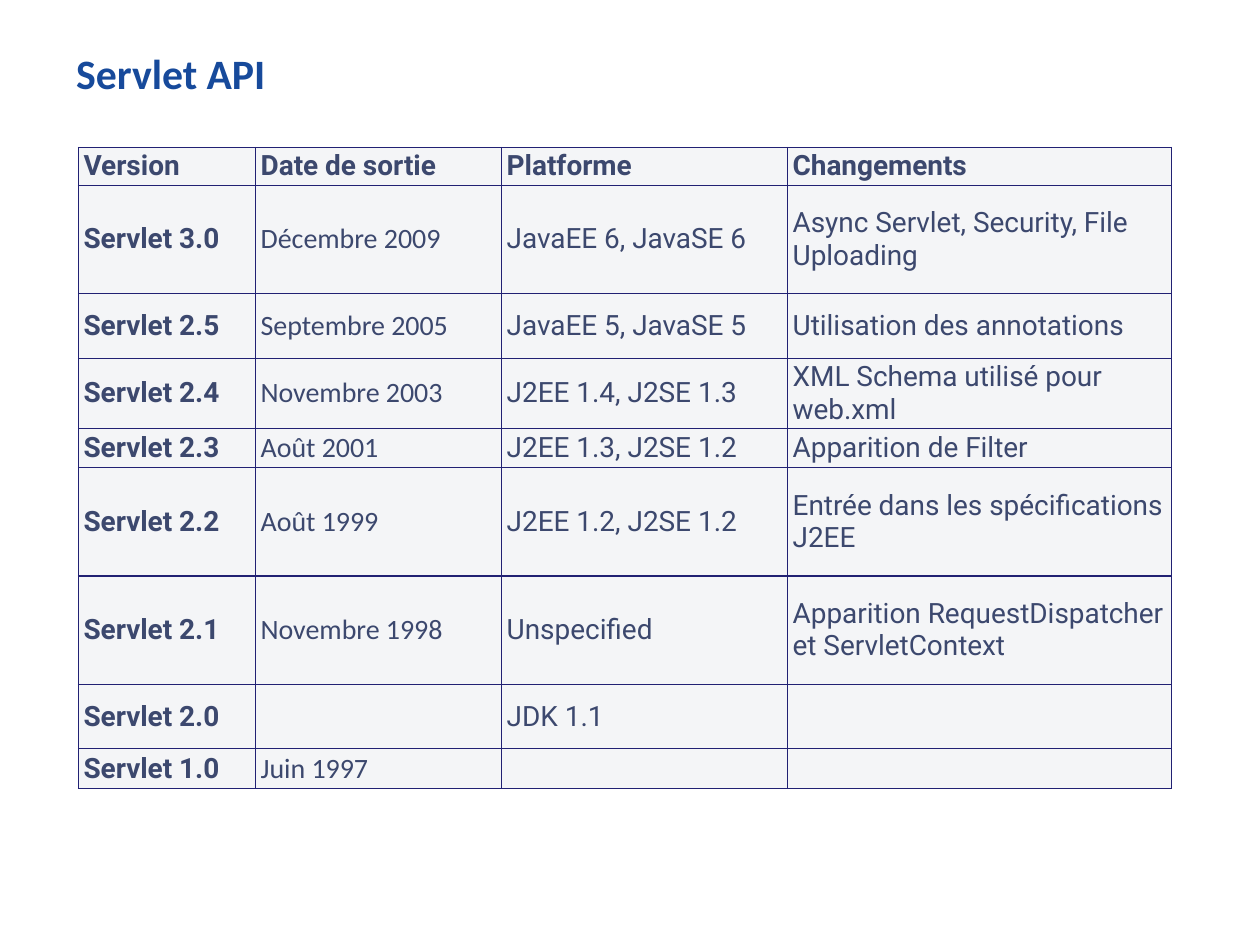
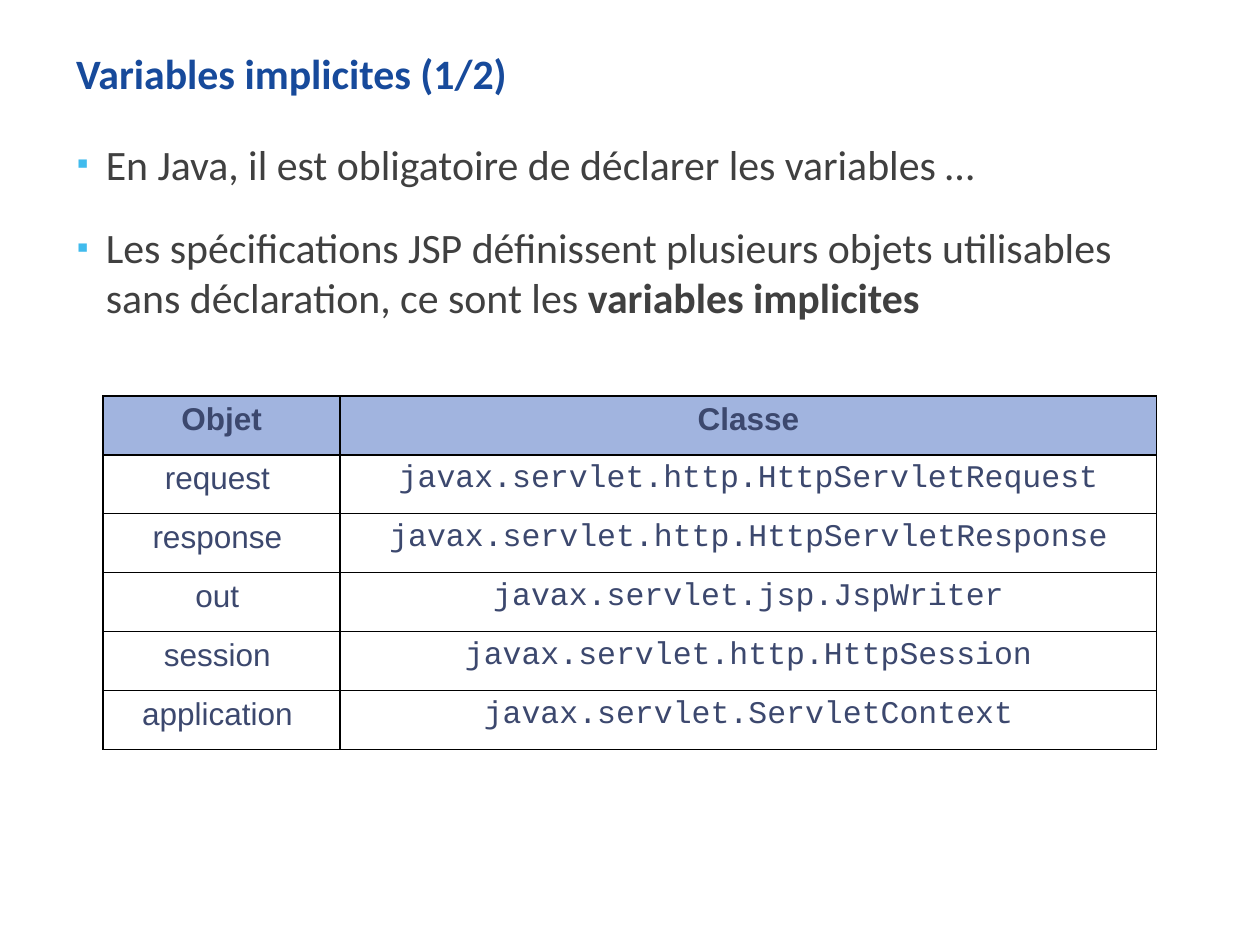
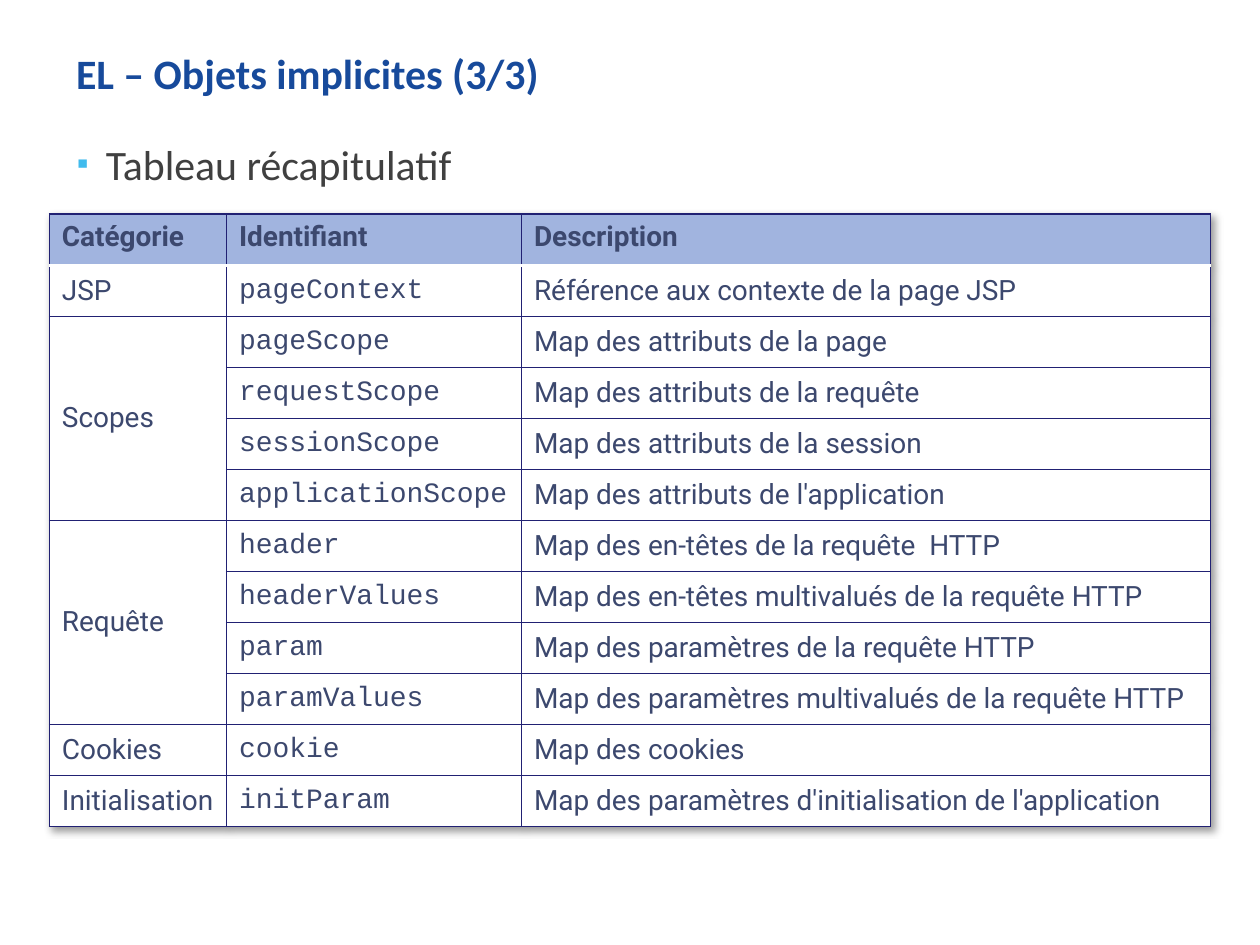
from lxml.etree import SubElement
from pptx import Presentation
from pptx.dml.color import RGBColor
from pptx.enum.text import MSO_ANCHOR, PP_ALIGN
from pptx.oxml import parse_xml
from pptx.oxml.ns import nsdecls, qn
from pptx.util import Pt

TITLE_BLUE = "174A9B"
BODY_GREY = "404040"
BULLET_CYAN = "40BBED"
CELL_TEXT = "3C486E"
NAVY = "212173"
HEADER_FILL = "A1B4DF"
PALE = "F4F5F7"
WHITE = "FFFFFF"
BLACK = "000000"


def add_text(para, text, color, **formats):
    span = para.add_run()
    span.text = text
    span.font.color.rgb = RGBColor.from_string(color)
    for name, value in formats.items():
        setattr(span.font, name, value)


def add_grid(page, left, top, widths, heights, rows, look):
    """Add a table; look holds its fonts, fills, borders and cell settings."""
    table = page.shapes.add_table(len(rows), len(widths), Pt(left), Pt(top),
                                  Pt(sum(widths)), Pt(sum(heights))).table
    table.first_row = table.horz_banding = False
    for column, width in zip(table.columns, widths):
        column.width = Pt(width)
    for line, height in zip(table.rows, heights):
        line.height = Pt(height)
    size = Pt(look["size"])
    for r, texts in enumerate(rows):
        for c, text in enumerate(texts):
            cell = table.cell(r, c)
            for name, value in look.get("cell", {}).items():
                setattr(cell, name, value)
            if r or look.get("middle_header"):
                cell.vertical_anchor = look.get("anchor", MSO_ANCHOR.TOP)
            borders = dict.fromkeys(("lnL", "lnR", "lnT", "lnB"), look["border"])
            if "header_rule" in look and r < 2:
                borders["lnT" if r else "lnB"] = look["header_rule"]
            for side, (color, weight) in borders.items():
                border = SubElement(cell._tc.get_or_add_tcPr(), qn(f"a:{side}"), w=str(Pt(weight)))
                SubElement(SubElement(border, qn("a:solidFill")), qn("a:srgbClr"), val=color)
            cell.fill.solid()
            cell.fill.fore_color.rgb = RGBColor.from_string(look["fill"] if r else look["header_fill"])
            para = cell.text_frame.paragraphs[0]
            for name, value in look.get("para", {}).items():
                setattr(para, name, value)
            if text:
                add_text(para, text, CELL_TEXT, size=size,
                         name=look["fonts"][c] if r else look["header_font"],
                         bold=r == 0 or c in look.get("bold_columns", ()))
            else:
                para._p.get_or_add_endParaRPr().set("sz", str(look["size"] * 100))
    return table


deck = Presentation()
deck.slide_width, deck.slide_height = Pt(720), Pt(540)

slides = [
    ("Servlet API", []),
    ("Variables implicites (1/2)", [
        [("En Java, il est obligatoire de déclarer les variables …", False)],
        [("Les spécifications JSP définissent plusieurs objets utilisables sans déclaration, "
          "ce sont les ", False), ("variables implicites", True)],
    ]),
    ("EL – Objets implicites (3/3)", [[("Tableau récapitulatif", False)]]),
]
insets = {"margin_left": Pt(8), "margin_right": Pt(8), "margin_top": Pt(4), "margin_bottom": Pt(4),
          "word_wrap": True, "vertical_anchor": MSO_ANCHOR.TOP}
pages = []
for heading, bullets in slides:
    page = deck.slides.add_slide(deck.slide_layouts[5])
    pages.append(page)
    title = page.shapes.title
    title.left, title.top, title.width, title.height = Pt(35.5), Pt(23), Pt(649), Pt(46)
    frames = [title.text_frame]
    if bullets:
        box = page.shapes.add_textbox(Pt(36), Pt(75), Pt(648), Pt(391))
        frames.append(box.text_frame)
    for frame in frames:
        for name, value in insets.items():
            setattr(frame, name, value)
    para = title.text_frame.paragraphs[0]
    para.alignment = PP_ALIGN.LEFT
    add_text(para, heading, TITLE_BLUE, name="Calibri", size=Pt(23.9), bold=True)

    for i, parts in enumerate(bullets):
        para = box.text_frame.add_paragraph() if i else box.text_frame.paragraphs[0]
        para.space_before, para.space_after = Pt(14.3), Pt(4.8)
        settings = para._p.get_or_add_pPr()
        settings.set("marL", str(Pt(16.5)))
        settings.set("indent", str(-Pt(16.5)))
        SubElement(SubElement(settings, qn("a:buClr")), qn("a:srgbClr"), val=BULLET_CYAN)
        SubElement(settings, qn("a:buSzPct"), val="80000")
        SubElement(settings, qn("a:buFont"), typeface="Arial")
        SubElement(settings, qn("a:buChar"), char="▪")
        for text, bold in parts:
            add_text(para, text, BODY_GREY, name="Calibri", size=Pt(23.9), bold=bold)

versions_page, variables_page, objects_page = pages

versions = [
    ("Version", "Date de sortie", "Platforme", "Changements"),
    ("Servlet 3.0", "Décembre 2009", "JavaEE 6, JavaSE 6", "Async Servlet, Security, File Uploading"),
    ("Servlet 2.5", "Septembre 2005", "JavaEE 5, JavaSE 5", "Utilisation des annotations"),
    ("Servlet 2.4", "Novembre 2003", "J2EE 1.4, J2SE 1.3", "XML Schema utilisé pour web.xml"),
    ("Servlet 2.3", "Août 2001", "J2EE 1.3, J2SE 1.2", "Apparition de Filter"),
    ("Servlet 2.2", "Août 1999", "J2EE 1.2, J2SE 1.2", "Entrée dans les spécifications J2EE"),
    ("Servlet 2.1", "Novembre 1998", "Unspecified", "Apparition RequestDispatcher et ServletContext"),
    ("Servlet 2.0", "", "JDK 1.1", ""),
    ("Servlet 1.0", "Juin 1997", "", ""),
]
add_grid(versions_page, 44.8, 84.2, [101.2, 140.6, 163.4, 219.4],
         [21.7, 61.8, 37, 40, 22.3, 61.8, 61.8, 37, 22.6], versions, {
             "size": 16, "header_font": "Roboto", "fonts": ["Roboto", "Calibri", "Roboto", "Roboto"],
             "bold_columns": [0], "fill": PALE, "header_fill": PALE, "border": (NAVY, 0.75),
             "anchor": MSO_ANCHOR.MIDDLE, "middle_header": True,
             "cell": {"margin_left": Pt(3), "margin_right": Pt(3),
                      "margin_top": Pt(1.5), "margin_bottom": Pt(1.5)}})

variables = [
    ("Objet", "Classe"),
    ("request ", "javax.servlet.http.HttpServletRequest"),
    ("response ", "javax.servlet.http.HttpServletResponse"),
    ("out ", "javax.servlet.jsp.JspWriter"),
    ("session ", "javax.servlet.http.HttpSession"),
    ("application ", "javax.servlet.ServletContext"),
]
add_grid(variables_page, 59, 226.2, [135.4, 466.6], [33.7] * len(variables), variables, {
    "size": 18, "header_font": "Arial", "fonts": ["Arial", "Courier New"],
    "fill": WHITE, "header_fill": HEADER_FILL, "border": (BLACK, 1),
    "para": {"alignment": PP_ALIGN.CENTER, "space_before": Pt(3.6)}})

objects = [
    ("Catégorie", "Identifiant", "Description"),
    ("JSP", "pageContext", "Référence aux contexte de la page JSP"),
    ("Scopes", "pageScope", "Map des attributs de la page"),
    ("", "requestScope", "Map des attributs de la requête"),
    ("", "sessionScope", "Map des attributs de la session"),
    ("", "applicationScope", "Map des attributs de l'application"),
    ("Requête", "header", "Map des en-têtes de la requête  HTTP"),
    ("", "headerValues", "Map des en-têtes multivalués de la requête HTTP"),
    ("", "param", "Map des paramètres de la requête HTTP"),
    ("", "paramValues", "Map des paramètres multivalués de la requête HTTP"),
    ("Cookies", "cookie", "Map des cookies"),
    ("Initialisation", "initParam", "Map des paramètres d'initialisation de l'application"),
]
objects_table = add_grid(
    objects_page, 28.2, 122.3, [101.2, 168.6, 393.8], [29.17] * len(objects), objects, {
        "size": 16, "header_font": "Roboto", "fonts": ["Roboto", "Courier New", "Roboto"],
        "fill": WHITE, "header_fill": HEADER_FILL, "border": (NAVY, 0.75),
        "header_rule": (WHITE, 2), "anchor": MSO_ANCHOR.MIDDLE})
for first in (2, 6):
    objects_table.cell(first, 0).merge(objects_table.cell(first + 3, 0))
objects_table._tbl.tblPr.insert(0, parse_xml(
    f'<a:effectLst {nsdecls("a")}><a:outerShdw blurRad="{Pt(4)}" dist="{Pt(3)}" dir="2700000" algn="tl">'
    f'<a:srgbClr val="{BLACK}"><a:alpha val="40000"/></a:srgbClr></a:outerShdw></a:effectLst>'))

deck.save("out.pptx")
